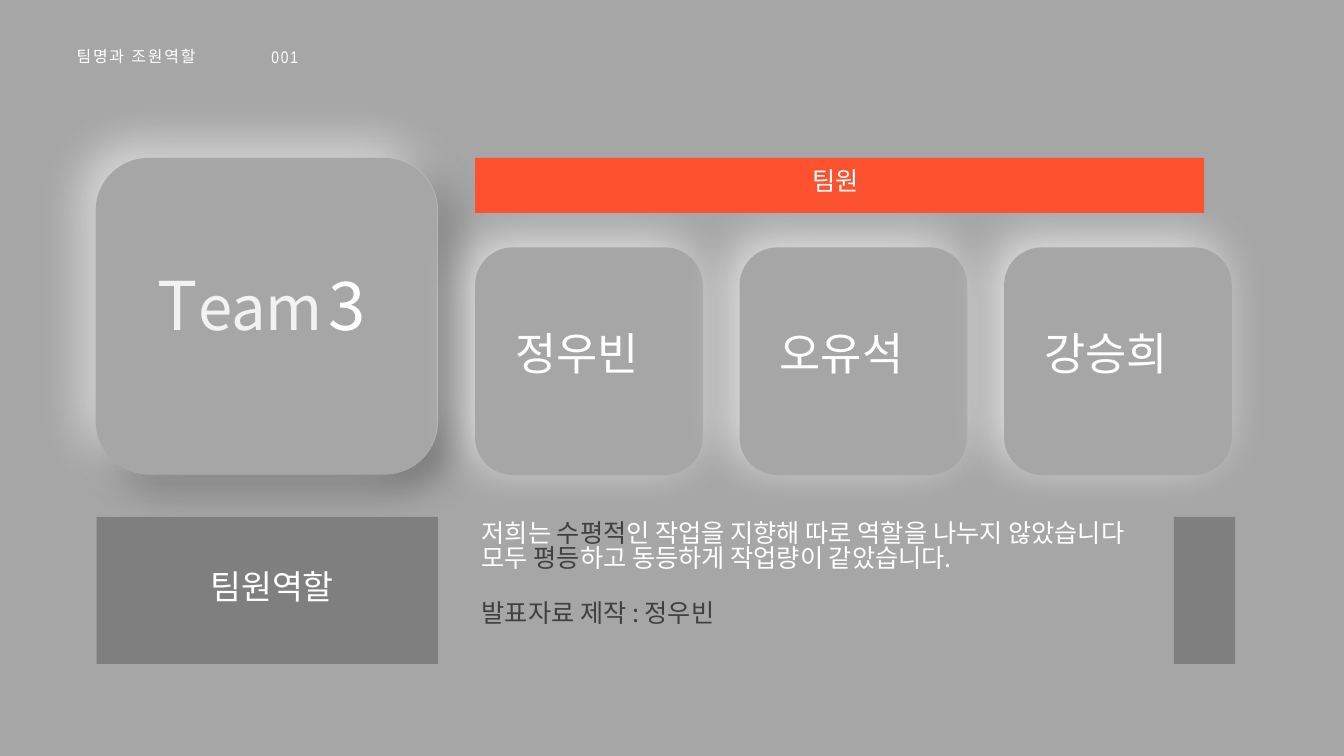
import pptx
import pptx.util
import pptx.dml.color
import pptx.enum.shapes
import pptx.enum.text
import pptx.oxml
import pptx.oxml.ns

Pt = pptx.util.Pt
SHAPE = pptx.enum.shapes.MSO_SHAPE
ALIGN = pptx.enum.text.PP_ALIGN
ANCHOR = pptx.enum.text.MSO_ANCHOR
qn = pptx.oxml.ns.qn

COLORS = {
    "page": "F2F2F2", "base": "A6A6A6", "panel": "7F7F7F", "accent": "FC5230",
    "white": "FFFFFF", "dark": "404040", "black": "000000",
}
SANS = "Noto Sans CJK KR"
NARROW = "Arial Narrow"


def color(name):
    return pptx.dml.color.RGBColor.from_string(COLORS[name])


class Deck:
    """Holds the style and the current slide."""

    def __init__(self, width, height):
        self.file = pptx.Presentation()
        self.file.slide_width = Pt(width)
        self.file.slide_height = Pt(height)
        self.slide = self.file.slides.add_slide(self.file.slide_layouts[6])
        fill = self.slide.background.fill
        fill.solid()
        fill.fore_color.rgb = color("page")

    def block(self, x, y, w, h, fill, kind=SHAPE.RECTANGLE):
        shape = self.slide.shapes.add_shape(kind, Pt(x), Pt(y), Pt(w), Pt(h))
        shape.shadow.inherit = False
        shape.fill.solid()
        shape.fill.fore_color.rgb = color(fill)
        shape.line.fill.background()
        return shape

    def card(self, x, y, w, h, tint, alpha, blur, dist, angle):
        """Add a rounded card that casts a soft shadow or glow."""
        shape = self.block(x, y, w, h, "base", SHAPE.ROUNDED_RECTANGLE)
        effects = shape._element.spPr.find(qn("a:effectLst"))
        effects.append(pptx.oxml.parse_xml(
            f'<a:outerShdw {pptx.oxml.ns.nsdecls("a")} blurRad="{Pt(blur)}" '
            f'dist="{Pt(dist)}" dir="{angle * 60000}" algn="ctr" rotWithShape="0">'
            f'<a:srgbClr val="{COLORS[tint]}"><a:alpha val="{alpha * 1000}"/>'
            f'</a:srgbClr></a:outerShdw>'))

    def text(self, x, y, w, h, lines, size, font=SANS, center=False, track=0, gaps=()):
        """Each line is a list of (words, color, size); None keeps the default.

        gaps maps a line's index to the space before it.
        """
        box = self.slide.shapes.add_textbox(Pt(x), Pt(y), Pt(w), Pt(h))
        frame = box.text_frame
        frame.word_wrap = True
        if center:
            frame.vertical_anchor = ANCHOR.MIDDLE
        if font == SANS:
            frame.margin_top = Pt(3.6 + 0.08 * size)
        gaps = dict(gaps)
        for index, line in enumerate(lines):
            para = frame.paragraphs[0] if index == 0 else frame.add_paragraph()
            para.alignment = ALIGN.CENTER if center else ALIGN.LEFT
            if font == SANS:
                para.line_spacing = 0.83
            if index in gaps:
                para.space_before = Pt(gaps[index])
            para.font.name = font
            para.font.size = Pt(size)
            para.font.color.rgb = color("white")
            props = para._p.pPr.find(qn("a:defRPr"))
            latin = props.find(qn("a:latin"))
            latin.addnext(pptx.oxml.parse_xml(
                f'<a:ea {pptx.oxml.ns.nsdecls("a")} typeface="{font}"/>'))
            if track:
                props.set("spc", str(track * 100))
            for words, tint, points in line:
                run = para.add_run()
                run.text = words
                if tint:
                    run.font.color.rgb = color(tint)
                if points:
                    run.font.size = Pt(points)

    def label(self, x, y, w, h, words, size, **style):
        self.text(x, y, w, h, [[(words, None, None)]], size, **style)


def main():
    deck = Deck(1440, 810)
    deck.block(0, 0, 1440, 810, "base")

    left, top, wide, tall = 103.5, 169.2, 365.8, 339
    deck.card(left, top, wide, tall, "black", 39, 42, 16, 45)
    deck.card(left - 1, top, wide, tall, "white", 67, 52, 19, 225)
    deck.text(162, 287.3, 256.3, 94.3, [[
        ("T", "page", None), ("eam", "page", 66), (" ", None, 27), ("3", None, None),
    ]], 72)

    right, side, step = 509, 244, 283.4
    members = [("정우빈", 13), ("오유석", 16), ("강승희", 16)]
    for index, (name, dist) in enumerate(members):
        x = right + index * step
        deck.card(x, 265, side, side, "white", 67, 52, dist, 225)
        deck.label(x + 36, 351.8, 171.4, 65.5, name, 48)

    deck.block(right, top, 781.2, 59, "accent")
    deck.label(863.3, 176.4, 73.4, 40.3, "팀원", 27)

    low, deep = 553.7, 157.7
    deck.block(left, low, wide, deep, "panel")
    deck.block(1257.8, low, 65.5, deep, "panel")
    deck.label(218.2, 607, 172.8, 51.1, "팀원역할", 36)
    deck.text(right, low, 735, 203.8, [
        [("저희는 ", None, None), ("수평적", "dark", None),
         ("인 작업을 지향해 따로 역할을 나누지 않았습니다", None, None)],
        [("모두 ", None, None), ("평등", "dark", None),
         ("하고 동등하게 작업량이 같았습니다.", None, None)],
        [("발표자료 제작 : 정우빈", "dark", None)],
    ], 27, gaps={2: 32.5})

    deck.label(-18, 46.8, 327.6, 28, "팀명과 조원역할", 17, center=True, track=2)
    deck.label(247, 42.5, 116, 37.4, "001", 18, font=NARROW, center=True, track=2)

    deck.file.save("out.pptx")


if __name__ == "__main__":
    main()
